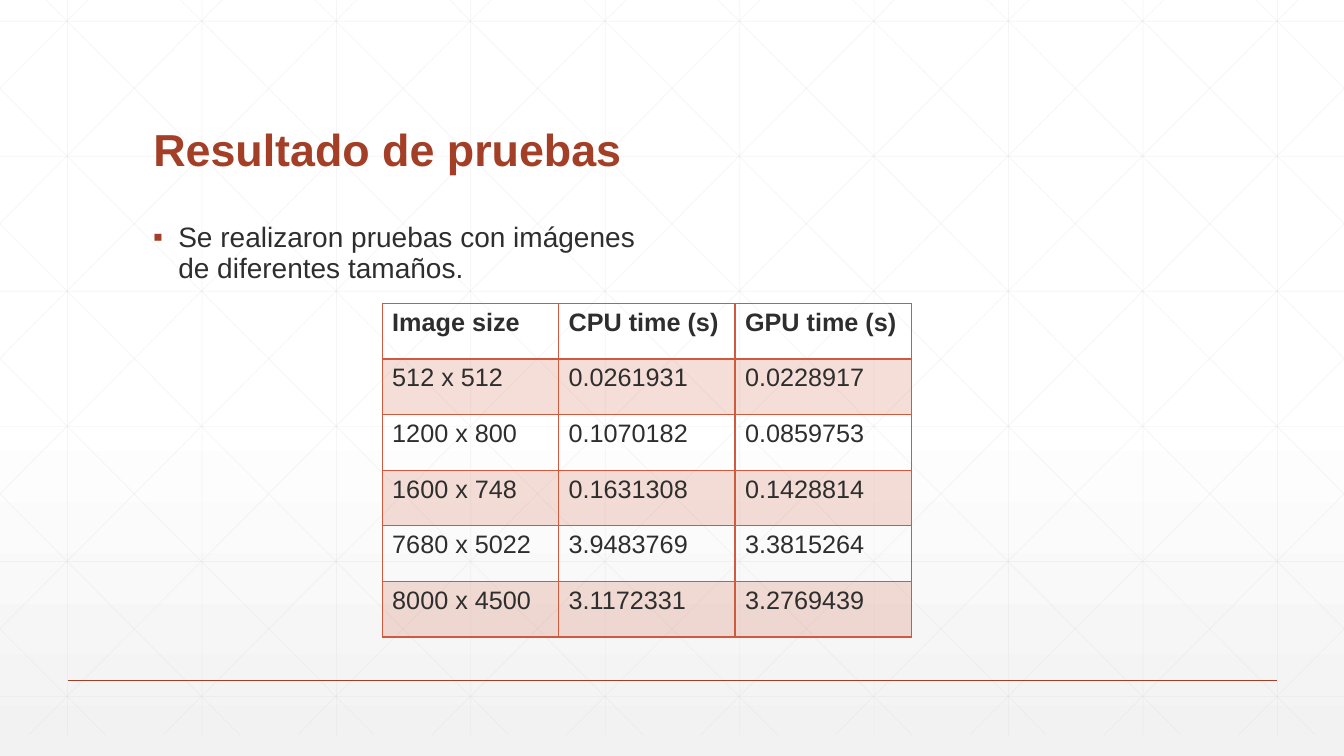
from dataclasses import dataclass
from typing import Iterator

from lxml.etree import SubElement
from pptx import Presentation
from pptx.dml.color import RGBColor
from pptx.enum.shapes import MSO_CONNECTOR
from pptx.enum.text import MSO_ANCHOR, MSO_AUTO_SIZE, PP_ALIGN
from pptx.oxml.ns import qn
from pptx.util import Inches, Pt

WHITE = RGBColor(0xFF, 0xFF, 0xFF)
PALE = RGBColor(0xF2, 0xF2, 0xF2)
GREY = RGBColor(0xD9, 0xD9, 0xD9)
RUST = RGBColor(0xA4, 0x3F, 0x27)
CORAL = RGBColor(0xD1, 0x5A, 0x3E)
INK = RGBColor(0x2D, 0x2E, 0x2D)

FONT = "Arial"
WIDE, HIGH = 13.33, 7.5
STEP = 4 / 3
TOP, LOW = -0.21, 7.29
SLANT = 7.46  # sideways run of a diagonal from TOP to LOW

TIMES = [
    ("Image size", "CPU time (s)", "GPU time (s)"),
    ("512 x 512", "0.0261931", "0.0228917"),
    ("1200 x 800", "0.1070182", "0.0859753"),
    ("1600 x 748", "0.1631308", "0.1428814"),
    ("7680 x 5022", "3.9483769", "3.3815264"),
    ("8000 x 4500", "3.1172331", "3.2769439"),
]


@dataclass
class Line:
    x1: float
    y1: float
    x2: float
    y2: float
    color: RGBColor = GREY
    width: float = 0.5
    alpha: int = 25


def set_alpha(node, percent: int) -> None:
    """Make the colour inside the node partly transparent."""
    color = next(node.iter(qn("a:srgbClr")))
    SubElement(color, qn("a:alpha"), val=str(percent * 1000))


def draw_line(shapes, line: Line) -> None:
    ends = map(Inches, (line.x1, line.y1, line.x2, line.y2))
    rule = shapes.add_connector(MSO_CONNECTOR.STRAIGHT, *ends)
    rule.line.color.rgb = line.color
    rule.line.width = Pt(line.width)
    props = rule._element.spPr
    if line.alpha < 100:
        set_alpha(props, line.alpha)
    SubElement(props, qn("a:effectLst"))


def grid_lines() -> Iterator[Line]:
    """Yield the upright, level and slanted lines of the lattice."""
    for col in range(10):
        x = 0.67 + col * STEP
        yield Line(x, TOP, x, LOW)
    for row in range(6):
        y = 0.21 + row * 1.34
        yield Line(0, y, WIDE, y)
    slope = (LOW - TOP) / SLANT
    for i in range(-5, 10):
        start = 0.25 + i * STEP
        left, right = max(start, 0), min(start + SLANT, WIDE)
        high = TOP + (left - start) * slope
        low = TOP + (right - start) * slope
        yield Line(left, high, right, low)
        yield Line(WIDE - left, high, WIDE - right, low)


def write(frame, text: str, *, size: float, color: RGBColor = INK,
          bold: bool = False, space: float | None = None):
    """Put text in the frame's first paragraph and return it."""
    frame.word_wrap = True
    para = frame.paragraphs[0]
    para.alignment = PP_ALIGN.LEFT
    para.line_spacing = space
    run = para.add_run()
    run.text = text
    run.font.name = FONT
    run.font.size = Pt(size)
    run.font.bold = bold
    run.font.color.rgb = color
    return para


def add_bullet(para) -> None:
    props = para._p.get_or_add_pPr()
    props.set("marL", str(Inches(0.25)))
    props.set("indent", str(Inches(-0.25)))
    tint = SubElement(props, qn("a:buClr"))
    SubElement(tint, qn("a:srgbClr"), val=str(RUST))
    SubElement(props, qn("a:buFont"), typeface=FONT)
    SubElement(props, qn("a:buChar"), char="▪")


def add_edge(cell, side: str, width: float) -> None:
    props = cell._tc.get_or_add_tcPr()
    edge = SubElement(props, qn(f"a:ln{side}"), w=str(Pt(width)))
    fill = SubElement(edge, qn("a:solidFill"))
    SubElement(fill, qn("a:srgbClr"), val=str(CORAL))


def add_times(slide) -> None:
    frame = slide.shapes.add_table(
        len(TIMES), len(TIMES[0]), Inches(3.79), Inches(3.01),
        Inches(5.25), Inches(3.31))
    for i, row in enumerate(TIMES):
        for j, text in enumerate(row):
            cell = frame.table.cell(i, j)
            write(cell.text_frame, text, size=18, bold=i == 0)
            for side in "LRTB":
                thick = (i, side) in ((0, "B"), (1, "T"))
                add_edge(cell, side, 2 if thick else 1)
            if i % 2:
                cell.fill.solid()
                cell.fill.fore_color.rgb = CORAL
                set_alpha(cell._tc.tcPr.find(qn("a:solidFill")), 20)
            else:
                cell.fill.background()


def add_title(slide) -> None:
    title = slide.shapes.title
    title.left, title.top = Inches(1.42), Inches(0.55)
    title.width, title.height = Inches(10.5), Inches(1.25)
    frame = title.text_frame
    frame.auto_size = MSO_AUTO_SIZE.NONE
    frame.vertical_anchor = MSO_ANCHOR.BOTTOM
    write(frame, "Resultado de pruebas", size=32, color=RUST,
          bold=True, space=0.9)
    slide.shapes._spTree.append(title._element)  # bring above the lattice


def add_body(slide) -> None:
    box = slide.shapes.add_textbox(
        Inches(1.42), Inches(2.17), Inches(5), Inches(4.17))
    para = write(
        box.text_frame,
        "Se realizaron pruebas con imágenes de diferentes tamaños.",
        size=20, space=0.9)
    para.space_before = Pt(18)
    add_bullet(para)


def paint_back(slide) -> None:
    fill = slide.background.fill
    fill.gradient()
    fill.gradient_angle = 270
    for stop, color, place in zip(
            fill.gradient_stops, (WHITE, PALE), (0.53, 1)):
        stop.color.rgb = color
        stop.position = place


def main() -> None:
    deck = Presentation()
    deck.slide_width, deck.slide_height = Inches(WIDE), Inches(HIGH)
    slide = deck.slides.add_slide(deck.slide_layouts[5])
    paint_back(slide)
    grid = slide.shapes.add_group_shape()
    for line in grid_lines():
        draw_line(grid.shapes, line)
    draw_line(slide.shapes, Line(0.67, 6.75, 12.67, 6.75, RUST, 1, 100))
    add_title(slide)
    add_body(slide)
    add_times(slide)
    deck.save("out.pptx")


if __name__ == "__main__":
    main()
